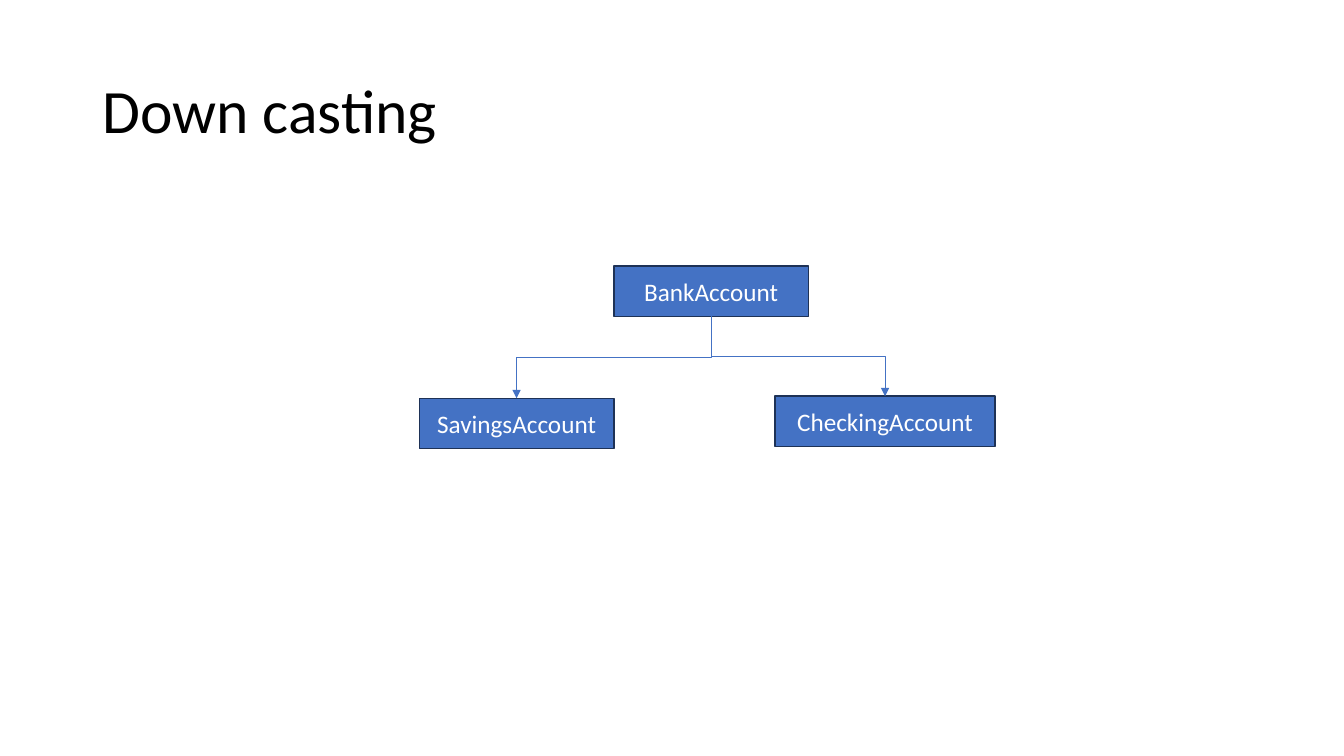
from pptx import Presentation
from pptx.dml.color import RGBColor as Rgb
from pptx.enum.shapes import MSO_CONNECTOR as Conn, MSO_SHAPE as Shape
from pptx.enum.text import MSO_ANCHOR as Anchor, MSO_AUTO_SIZE as Auto, PP_ALIGN as Align
from pptx.oxml.ns import qn
from pptx.util import Pt
from lxml.etree import SubElement as Sub

COLORS = {"ink": "000000", "fill": "4472C4", "edge": "1E3256", "text": "FFFFFF"}
FONT = "Calibri"


def hue(name):
    return Rgb.from_string(COLORS[name])


def write(frame, text, size=18, color="text", align=Align.CENTER, space=1.0):
    frame.word_wrap = True
    frame.auto_size = Auto.NONE
    frame.vertical_anchor = Anchor.MIDDLE
    para = frame.paragraphs[0]
    para.alignment = align
    para.line_spacing = space
    run = para.add_run()
    run.text = text
    run.font.name = FONT
    run.font.size = Pt(size)
    run.font.color.rgb = hue(color)


class Chart:
    """Class tree on one slide; all lengths are in points."""

    high = 36

    def __init__(self, deck):
        self.slide = deck.slides.add_slide(deck.slide_layouts[5])
        self.shapes = self.slide.shapes

    def title(self, text, left, top, width, height):
        head = self.shapes.title
        head.left, head.top = Pt(left), Pt(top)
        head.width, head.height = Pt(width), Pt(height)
        write(head.text_frame, text, size=44, color="ink", align=Align.LEFT, space=0.9)

    def box(self, text, left, top, width):
        box = self.shapes.add_shape(Shape.RECTANGLE, Pt(left), Pt(top), Pt(width), Pt(self.high))
        box.shadow.inherit = False
        box.fill.solid()
        box.fill.fore_color.rgb = hue("fill")
        box.line.color.rgb = hue("edge")
        box.line.width = Pt(1)
        write(box.text_frame, text)
        return box

    def arrow(self, base, child):
        """Elbow that leaves the base downwards and enters the child from above."""
        x1, y1 = base.left + base.width // 2, base.top + base.height
        x2, y2 = child.left + child.width // 2, child.top
        # A quarter turn swaps width and height around the same centre
        mid_x, mid_y = (x1 + x2) // 2, (y1 + y2) // 2
        half_w, half_h = (y2 - y1) // 2, abs(x2 - x1) // 2
        right = x2 > x1
        side = -half_w if right else half_w
        link = self.shapes.add_connector(
            Conn.ELBOW, mid_x - side, mid_y - half_h, mid_x + side, mid_y + half_h)
        link.line.color.rgb = hue("fill")
        link.line.width = Pt(0.5)
        props = link._element.spPr
        props.find(qn("a:xfrm")).set("rot", str((270 if right else 90) * 60000))
        Sub(props.find(qn("a:ln")), qn("a:tailEnd"), type="triangle")
        Sub(props, qn("a:effectLst"))


def main():
    deck = Presentation()
    deck.slide_width, deck.slide_height = Pt(960), Pt(540)
    chart = Chart(deck)
    chart.title("Down casting", 66, 28.75, 828, 104.4)

    # Base class and its subclasses
    bank = chart.box("BankAccount", 438.5, 190, 139)
    kids = [
        chart.box("SavingsAccount", 299.5, 284.5, 139),
        chart.box("CheckingAccount", 553.7, 283, 157),
    ]

    # Arrows down to the subclasses
    for kid in kids:
        chart.arrow(bank, kid)

    deck.save("out.pptx")


if __name__ == "__main__":
    main()
